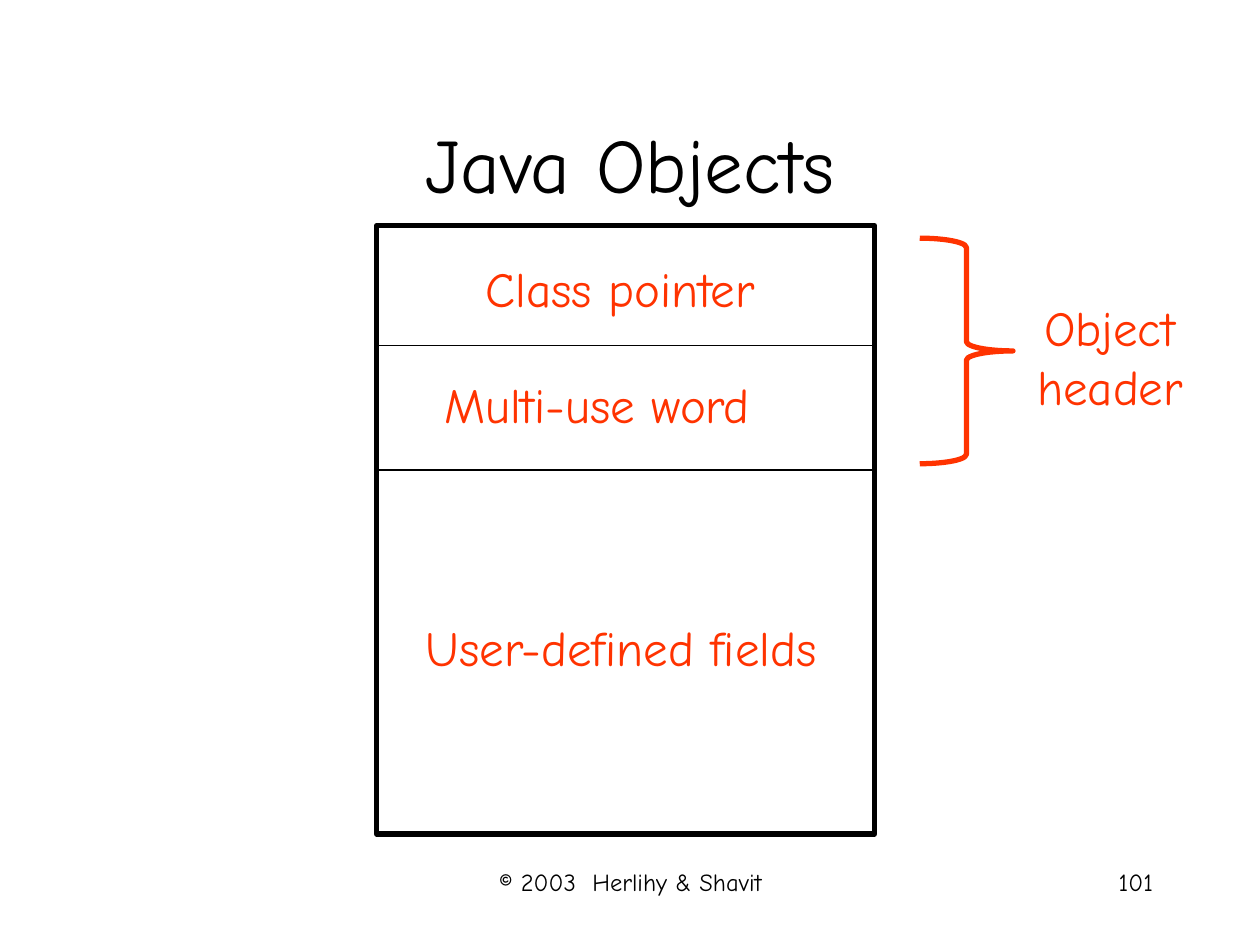
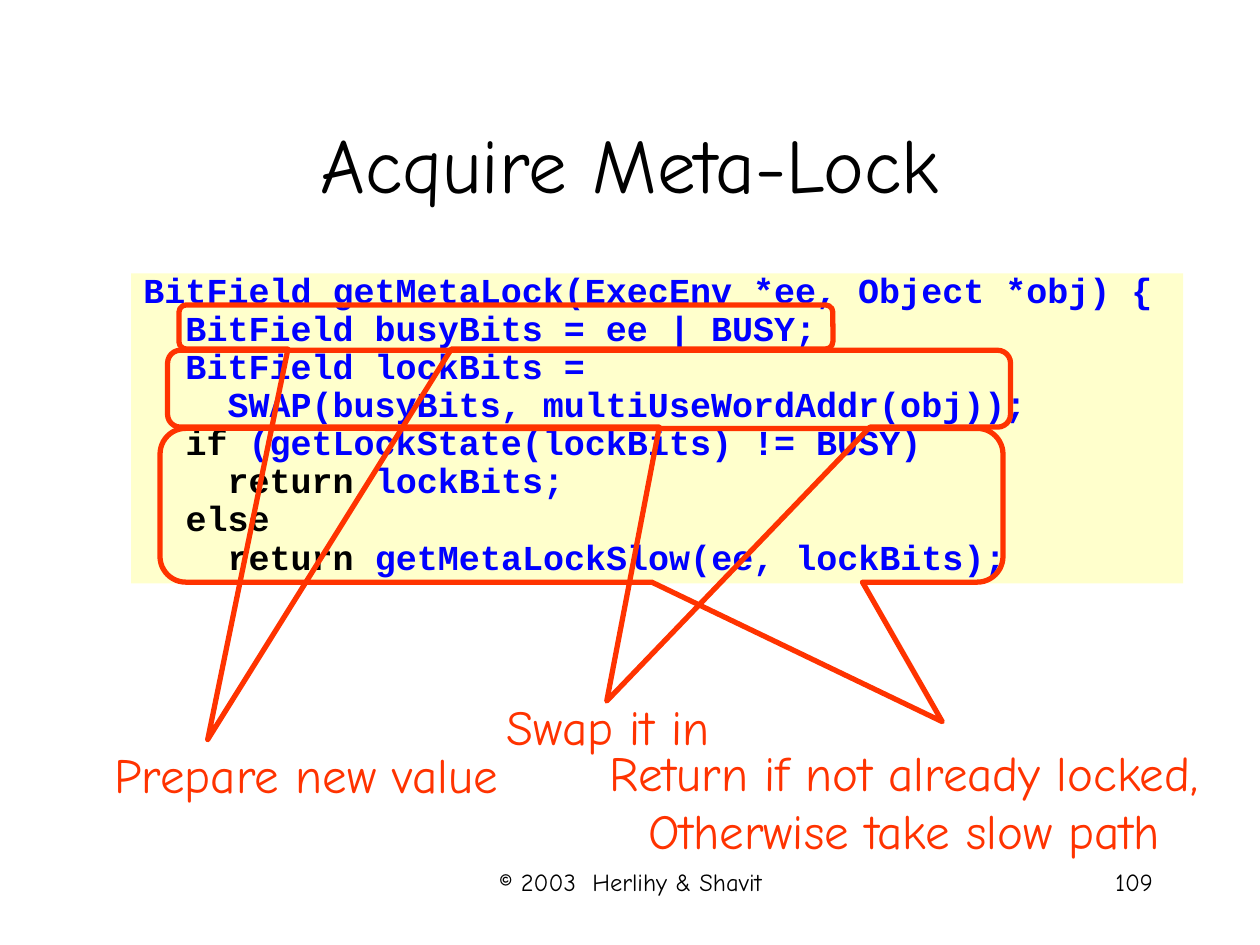
from collections import namedtuple

from pptx import Presentation
from pptx import util as u
from pptx.dml.color import RGBColor
from pptx.enum import shapes, text
from pptx.oxml.ns import qn

BLACK = RGBColor(0x00, 0x00, 0x00)
RED = RGBColor(0xFF, 0x33, 0x00)
BLUE = RGBColor(0x00, 0x00, 0xFF)
CREAM = RGBColor(0xFF, 0xFF, 0xCC)

Box = namedtuple("Box", "left top width height")
TITLE_BOX = Box(0.75, 0.67, 8.5, 1.25)
FOOTER_BOX = Box(3.42, 6.83, 3.17, 0.5)
NUMBER_BOX = Box(7.17, 6.83, 2.08, 0.5)

TITLE_FONT = {"size": u.Pt(44), "name": "Comic Neue"}
LABEL_FONT = {"size": u.Pt(28), "name": "Comic Neue"}
FOOTER_FONT = {"size": u.Pt(14), "name": "Comic Neue"}
CODE_FONT = {"size": u.Pt(20), "name": "Courier New", "bold": True}

FIT_FRAME = {"word_wrap": False, "auto_size": text.MSO_AUTO_SIZE.SHAPE_TO_FIT_TEXT}
FIXED_FRAME = {"word_wrap": True, "auto_size": text.MSO_AUTO_SIZE.NONE}
TITLE_FRAME = {**FIXED_FRAME, "vertical_anchor": text.MSO_ANCHOR.MIDDLE}
CODE_FRAME = {**FIXED_FRAME, "vertical_anchor": text.MSO_ANCHOR.TOP}

LEFT, CENTER, RIGHT = text.PP_ALIGN.LEFT, text.PP_ALIGN.CENTER, text.PP_ALIGN.RIGHT

KEYWORDS = {"if", "else", "return"}
META_LOCK_CODE = """\
BitField getMetaLock(ExecEnv *ee, Object *obj) {
  BitField busyBits = ee | BUSY;
  BitField lockBits =
    SWAP(busyBits, multiUseWordAddr(obj));
  if (getLockState(lockBits) != BUSY)
    return lockBits;
  else
    return getMetaLockSlow(ee, lockBits);"""


def apply(target, values):
    for name, value in values.items():
        setattr(target, name, value)


def inches(box):
    return [u.Inches(length) for length in box]


def style_font(font, values, color):
    apply(font, values)
    font.color.rgb = color


def write_lines(frame, lines, font, color, align):
    for index, line in enumerate(lines):
        paragraph = frame.paragraphs[0] if index == 0 else frame.add_paragraph()
        paragraph.alignment = align
        run = paragraph.add_run()
        run.text = line
        style_font(run.font, font, color)


def add_text(slide, box, lines, font, color, align, frame_values):
    frame = slide.shapes.add_textbox(*inches(box)).text_frame
    apply(frame, frame_values)
    write_lines(frame, lines, font, color, align)


def add_label(slide, box, lines, align=CENTER):
    add_text(slide, box, lines, LABEL_FONT, RED, align, FIT_FRAME)


def add_outline(slide, kind, box, color, adjustments=()):
    outline = slide.shapes.add_shape(kind, *inches(box))
    outline.shadow.inherit = False
    outline.fill.background()
    outline.line.color.rgb = color
    outline.line.width = u.Pt(3)
    for index, value in enumerate(adjustments):
        outline.adjustments[index] = value


def add_divider(slide, left, right, y):
    divider = slide.shapes.add_connector(
        shapes.MSO_CONNECTOR.STRAIGHT, *inches((left, y, right, y)))
    divider.line.color.rgb = BLACK
    divider.line.width = u.Pt(0.75)
    properties = divider._element.spPr
    properties.append(properties.makeelement(qn("a:effectLst"), {}))


def add_titled_slide(deck, title, number):
    slide = deck.slides.add_slide(deck.slide_layouts[5])
    heading = slide.shapes.title
    apply(heading, dict(zip(Box._fields, inches(TITLE_BOX))))
    apply(heading.text_frame, TITLE_FRAME)
    write_lines(heading.text_frame, [title], TITLE_FONT, BLACK, CENTER)
    for box, line, align in ((FOOTER_BOX, "© 2003  Herlihy & Shavit", CENTER),
                             (NUMBER_BOX, str(number), RIGHT)):
        add_text(slide, box, [line], FOOTER_FONT, BLACK, align, FIXED_FRAME)
    return slide


def add_object_layout(slide, box):
    add_outline(slide, shapes.MSO_SHAPE.RECTANGLE, box, BLACK)
    for offset in (0.95, 1.94):
        add_divider(slide, box.left, box.left + box.width, box.top + offset)
    for field, dx, dy, width in (("Class pointer", 0.75, 0.21, 2.35),
                                 ("Multi-use word", 0.42, 1.13, 2.64),
                                 ("User-defined fields", 0.27, 3.06, 3.32)):
        add_label(slide, Box(box.left + dx, box.top + dy, width, 0.57), [field], RIGHT)


def add_header_brace(slide, box):
    add_outline(slide, shapes.MSO_SHAPE.RIGHT_BRACE, box, RED, (0.1, 0.5))
    add_label(slide, Box(box.left + 0.83, box.top + 0.42, 1.36, 1.04),
              ["Object", "header"])


def add_code(slide, box, code):
    panel = slide.shapes.add_shape(shapes.MSO_SHAPE.RECTANGLE, *inches(box))
    panel.shadow.inherit = False
    panel.fill.solid()
    panel.fill.fore_color.rgb = CREAM
    panel.line.fill.background()
    frame = panel.text_frame
    apply(frame, CODE_FRAME)
    for index, line in enumerate(code.splitlines()):
        paragraph = frame.paragraphs[0] if index == 0 else frame.add_paragraph()
        apply(paragraph, {"alignment": LEFT, "line_spacing": 0.7,
                          "space_before": u.Pt(5 if index else 0)})
        statement = line.lstrip()
        indent = line[:len(line) - len(statement)]
        word = statement.split()[0]
        parts = [(line, BLUE)]
        if word in KEYWORDS:
            parts = [(indent, BLUE), (word, BLACK), (statement[len(word):], BLUE)]
        for part, color in parts:
            if part:
                run = paragraph.add_run()
                run.text = part
                style_font(run.font, CODE_FONT, color)


def add_callout(slide, box, tip, note_box, note):
    add_outline(slide, shapes.MSO_SHAPE.ROUNDED_RECTANGULAR_CALLOUT, box, RED,
                (*tip, 0.167))
    add_label(slide, note_box, note)


def build_java_objects(deck):
    slide = add_titled_slide(deck, "Java Objects", 101)
    add_object_layout(slide, Box(2.99, 1.79, 3.95, 4.83))
    add_header_brace(slide, Box(7.3, 1.89, 0.74, 1.79))


def build_meta_lock(deck):
    slide = add_titled_slide(deck, "Acquire Meta-Lock", 109)
    add_code(slide, Box(1.04, 2.17, 8.35, 2.46), META_LOCK_CODE)
    for callout in (
        (Box(1.42, 2.42, 5.19, 0.35), (-0.456, 9.356),
         Box(0.8, 5.86, 3.26, 0.57), ["Prepare new value"]),
        (Box(1.33, 2.78, 6.69, 0.61), (0.021, 4.065),
         Box(3.92, 5.48, 1.81, 0.57), ["Swap it in"]),
        (Box(1.27, 3.4, 6.69, 1.22), (0.428, 1.408),
         Box(4.73, 5.84, 4.89, 1.04),
         ["Return if not already locked,", "Otherwise take slow path"]),
    ):
        add_callout(slide, *callout)


def main():
    deck = Presentation()
    apply(deck, {"slide_width": u.Inches(10), "slide_height": u.Inches(7.5)})
    build_java_objects(deck)
    build_meta_lock(deck)
    deck.save("out.pptx")


if __name__ == "__main__":
    main()
